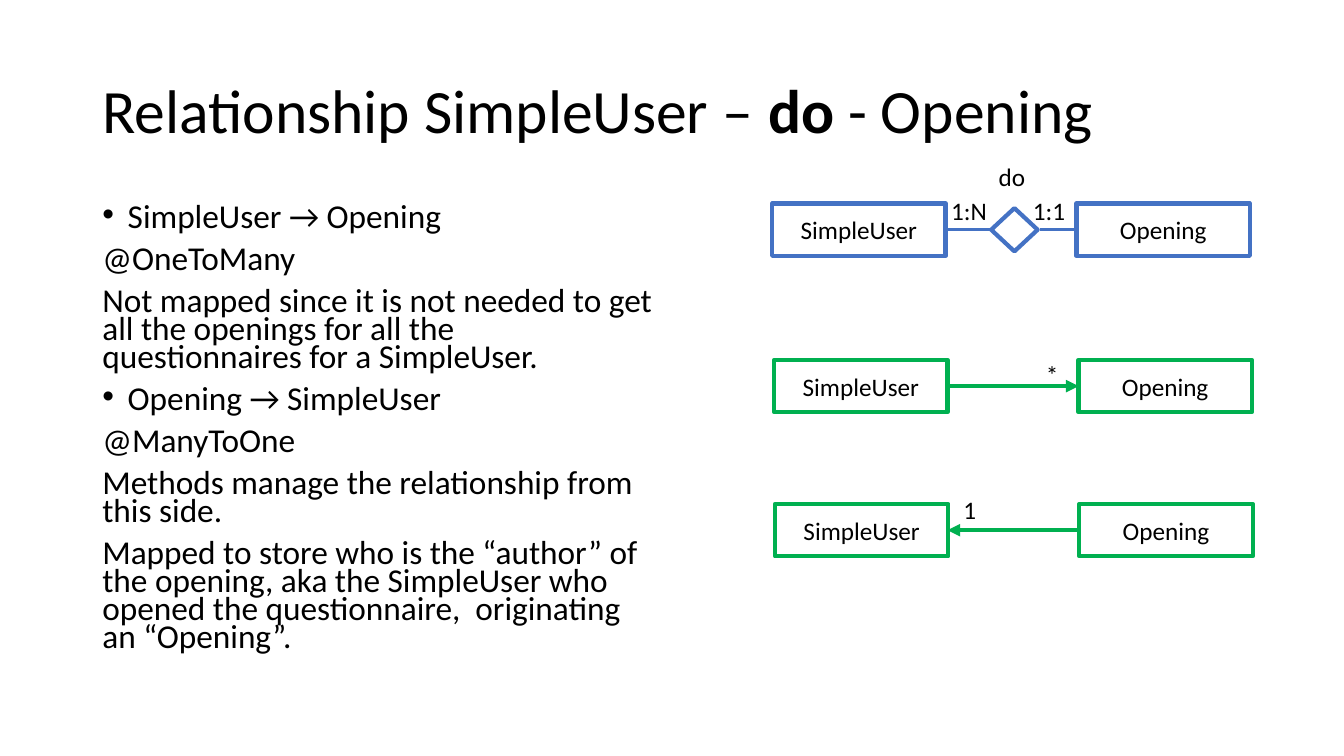
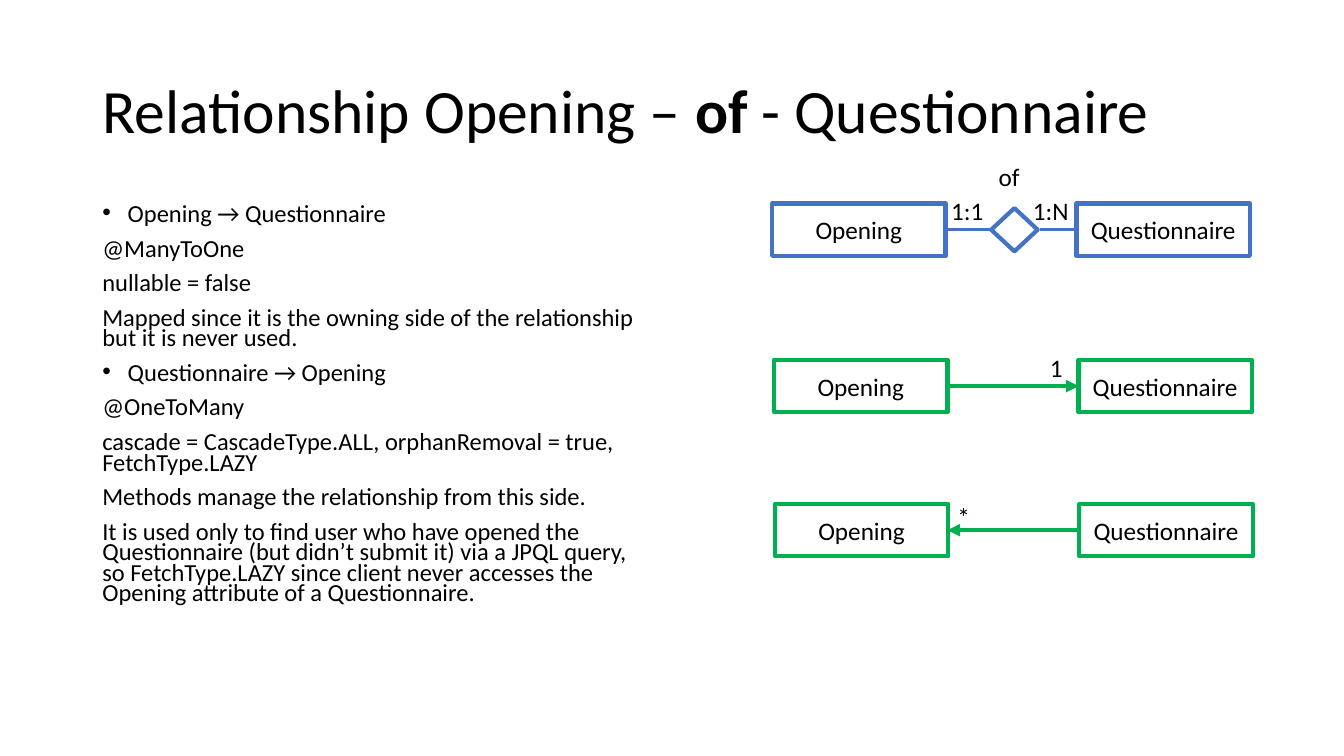
from lxml import etree
from pptx import Presentation
from pptx.dml.color import RGBColor
from pptx.enum import shapes, text
from pptx.oxml import ns
from pptx.util import Cm, Pt

BLACK, WHITE, BLUE, GREEN = "000000", "FFFFFF", "4472C4", "00B050"
FONT = "Calibri"
BOX_W, BOX_H, BOX_STEP = 4.37, 1.32, 7.67
DIAMOND_W, DIAMOND_H = 1.17, 1.09
BULLET_INDENT = 0.64


def rgb(value):
    return RGBColor.from_string(value)


def add_text(slide, place, paragraphs, size, spacing=None):
    """Add a text box; a paragraph is a list of (text, bold) runs."""
    box = slide.shapes.add_textbox(*map(Cm, place))
    frame = box.text_frame
    frame.word_wrap = True
    for number, pieces in enumerate(paragraphs):
        para = frame.paragraphs[0] if number == 0 else frame.add_paragraph()
        para.line_spacing = spacing
        for piece, bold in pieces:
            run = para.add_run()
            run.text = piece
            run.font.name, run.font.size, run.font.bold = FONT, Pt(size), bold
            run.font.color.rgb = rgb(BLACK)
    return frame


# Content: entities are (left, right); labels are (text, left, top)
relationships = [
    {
        "entities": ("SimpleUser", "Opening"),
        "verb": "do",
        "size": 23.8,
        "notes": [
            "• SimpleUser → Opening",
            "@OneToMany",
            "Not mapped since it is not needed to get all the openings for all "
            "the questionnaires for a SimpleUser.",
            "• Opening → SimpleUser",
            "@ManyToOne",
            "Methods manage the relationship from this side.",
            "Mapped to store who is the “author” of the opening, aka the SimpleUser "
            "who opened the questionnaire,  originating an “Opening”.",
        ],
        "labels": [("1:N", 23.72, 4.8), ("1:1", 25.78, 4.8),
                   ("*", 26.11, 8.94), ("1", 24.03, 12.34)],
    },
    {
        "entities": ("Opening", "Questionnaire"),
        "verb": "of",
        "size": 17.5,
        "notes": [
            "• Opening → Questionnaire",
            "@ManyToOne",
            "nullable = false",
            "Mapped since it is the owning side of the relationship but it is never used.",
            "• Questionnaire → Opening",
            "@OneToMany",
            "cascade = CascadeType.ALL, orphanRemoval = true, FetchType.LAZY",
            "Methods manage the relationship from this side.",
            "It is used only to find user who have opened the Questionnaire (but didn’t "
            "submit it) via a JPQL query, so FetchType.LAZY since client never accesses "
            "the Opening attribute of a Questionnaire.",
        ],
        "labels": [("1:1", 23.72, 4.8), ("1:N", 25.78, 4.8),
                   ("1", 26.21, 8.76), ("*", 23.88, 12.52)],
    },
]

# Diagram rows: left, top, colour, line width, [(from x, to x)], arrowhead end
rows = [
    (19.46, 5.13, BLUE, 2.25, [(23.8, 24.97), (26.21, 27.13)], None),
    (19.51, 9.07, GREEN, 3, [(23.85, 27.18)], "tailEnd"),
    (19.53, 12.7, GREEN, 3, [(23.88, 27.2)], "headEnd"),
]

prs = Presentation()
prs.slide_width, prs.slide_height = Cm(33.87), Cm(19.05)

for relationship in relationships:
    slide = prs.slides.add_slide(prs.slide_layouts[6])
    left_entity, right_entity = relationship["entities"]
    verb = relationship["verb"]

    # Title
    title = add_text(
        slide, (2.33, 1.01, 29.21, 3.68),
        [[(f"Relationship {left_entity} – ", False), (verb, True),
          (f" - {right_entity}", False)]], 44, 0.9)
    title.vertical_anchor = text.MSO_ANCHOR.MIDDLE

    # Notes, bulleted where they name a direction
    notes = relationship["notes"]
    body = add_text(slide, (2.33, 5.07, 14.4, 12.09),
                    [[(note.removeprefix("• "), False)] for note in notes],
                    relationship["size"], 0.7)
    for note, para in zip(notes, body.paragraphs):
        para.space_before = Pt(10)
        if note.startswith("•"):
            props = para._p.get_or_add_pPr()
            props.set("marL", str(Cm(BULLET_INDENT)))
            props.set("indent", str(-Cm(BULLET_INDENT)))
            etree.SubElement(props, ns.qn("a:buFont")).set("typeface", "Arial")
            etree.SubElement(props, ns.qn("a:buChar")).set("char", "•")

    # Entity boxes, their links and the diamond
    for left, top, colour, link_width, links, arrow in rows:
        middle = top + BOX_H / 2
        outlines = [
            (shapes.MSO_SHAPE.RECTANGLE, left + i * BOX_STEP, top, BOX_W, BOX_H, entity)
            for i, entity in enumerate(relationship["entities"])]
        if arrow is None:
            outlines.append((shapes.MSO_SHAPE.DIAMOND, 24.98, middle - DIAMOND_H / 2,
                             DIAMOND_W, DIAMOND_H, ""))
        for kind, x, y, width, height, caption in outlines:
            node = slide.shapes.add_shape(kind, Cm(x), Cm(y), Cm(width), Cm(height))
            node.shadow.inherit = False
            node.fill.solid()
            node.fill.fore_color.rgb = rgb(WHITE)
            node.line.color.rgb = rgb(colour)
            node.line.width = Pt(3)
            if caption:
                node.text_frame.text = caption
                node.text_frame.vertical_anchor = text.MSO_ANCHOR.MIDDLE
                para = node.text_frame.paragraphs[0]
                para.alignment = text.PP_ALIGN.CENTER
                font = para.runs[0].font
                font.name, font.size = FONT, Pt(18)
                font.color.rgb = rgb(BLACK)
        for start, end in links:
            link = slide.shapes.add_connector(
                shapes.MSO_CONNECTOR.STRAIGHT, Cm(start), Cm(middle), Cm(end), Cm(middle))
            link.line.color.rgb = rgb(colour)
            link.line.width = Pt(link_width)
            if arrow:
                head = etree.SubElement(link.line._get_or_add_ln(), ns.qn(f"a:{arrow}"))
                head.set("type", "triangle")
            etree.SubElement(link._element.spPr, ns.qn("a:effectLst"))

    # Verb and cardinalities
    for label, x, y in [(verb, 24.92, 3.94)] + relationship["labels"]:
        add_text(slide, (x, y, 1.6, 1.02), [[(label, False)]], 18)

prs.save("out.pptx")
